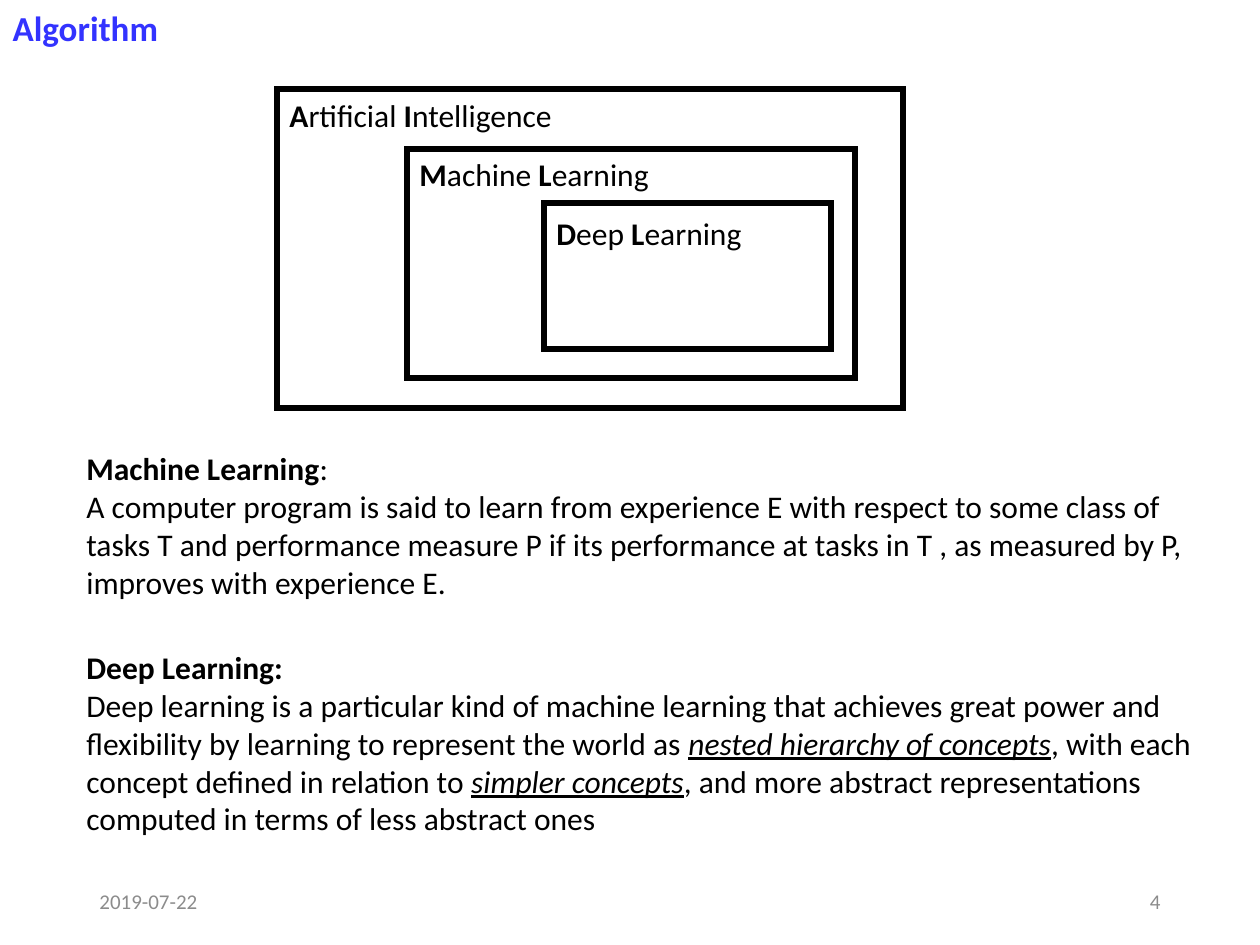
import pptx
import pptx.dml.color
import pptx.enum.shapes
import pptx.enum.text
import pptx.oxml.ns
import pptx.util
import lxml.etree

PX = 914400 / 126
FONT = "Calibri"
COLORS = {"title": "3333FF", "text": "000000", "footer": "8C8C8C", "line": "000000"}
ALIGN = pptx.enum.text.PP_ALIGN
ANCHOR = pptx.enum.text.MSO_ANCHOR


def px(*lengths):
    return [pptx.util.Emu(round(n * PX)) for n in lengths]


def rgb(name):
    return pptx.dml.color.RGBColor.from_string(COLORS[name])


def format_run(r, size, color, style=""):
    r.font.name = FONT
    r.font.size = pptx.util.Pt(size)
    r.font.color.rgb = rgb(color)
    r.font.bold = "b" in style
    r.font.italic = "i" in style
    r.font.underline = "u" in style


def add_text(s, box, paragraphs, size=18, color="text", align=ALIGN.LEFT, anchor=ANCHOR.TOP):
    tf = s.shapes.add_textbox(*px(*box)).text_frame
    tf.word_wrap = True
    tf.vertical_anchor = anchor
    for i, runs in enumerate(paragraphs):
        p = tf.paragraphs[0] if i == 0 else tf.add_paragraph()
        p.alignment = align
        for text, style in runs:
            r = p.add_run()
            r.text = text
            format_run(r, size, color, style)


def add_title(s, box, text):
    sp = s.shapes.title
    sp.left, sp.top, sp.width, sp.height = px(*box)
    tf = sp.text_frame
    tf.text = text
    tf.word_wrap = False
    tf.auto_size = pptx.enum.text.MSO_AUTO_SIZE.NONE
    tf.vertical_anchor = ANCHOR.TOP
    p = tf.paragraphs[0]
    p.alignment = ALIGN.LEFT
    format_run(p.runs[0], 20, "title", "b")


def add_frame(s, box):
    sp = s.shapes.add_shape(pptx.enum.shapes.MSO_SHAPE.RECTANGLE, *px(*box))
    sp.shadow.inherit = False
    sp.fill.background()
    sp.line.color.rgb = rgb("line")
    sp.line.width = pptx.util.Pt(3)
    ln = sp.element.spPr.find(pptx.oxml.ns.qn("a:ln"))
    lxml.etree.SubElement(ln, pptx.oxml.ns.qn("a:miter"), lim="800000")


def add_nested_fields(s, box):
    left, top, width, height = box
    fields = [
        ((0, 0, width, height), 1, 320, [("A", "b"), ("rtificial ", ""), ("I", "b"), ("ntelligence", "")]),
        ((130, 60, 448, 229), 60, 257, [("M", "b"), ("achine ", ""), ("L", "b"), ("earning", "")]),
        ((267, 114, 287, 146), 119, 257, [("D", "b"), ("eep ", ""), ("L", "b"), ("earning", "")]),
    ]
    for (x, y, w, h), label_y, label_w, label in fields:
        add_frame(s, (left + x, top + y, w, h))
        add_text(s, (left + x, top + label_y, label_w, 50), [label])


def add_footer(s, box, date, number):
    left, top, width, height = box
    w = 284
    for x, text, align in ((left, date, ALIGN.LEFT), (left + width - w, number, ALIGN.RIGHT)):
        add_text(s, (x, top, w, height), [[(text, "")]], 12, "footer", align, ANCHOR.MIDDLE)


def main():
    prs = pptx.Presentation()
    prs.slide_width, prs.slide_height = px(1260, 945)
    s = prs.slides.add_slide(prs.slide_layouts[5])
    add_title(s, (0, 0, 173, 55), "Algorithm")
    add_nested_fields(s, (277, 89, 626, 319))
    add_text(s, (74, 443, 1131, 165), [
        [("Machine Learning", "b"), (":", "")],
        [("A computer program is said to learn from experience E with respect to some class of "
          "tasks T and performance measure P if its performance at tasks in T , as measured by P, "
          "improves with experience E.", "")],
    ])
    add_text(s, (74, 642, 1131, 204), [
        [("Deep Learning:", "b")],
        [("Deep learning is a particular kind of machine learning that achieves great power and "
          "flexibility by learning to represent the world as ", ""),
         ("nested hierarchy of concepts", "iu"),
         (", with each concept defined in relation to ", ""),
         ("simpler concepts", "iu"),
         (", and more abstract representations computed in terms of less abstract ones", "")],
    ])
    add_footer(s, (87, 876, 1086, 50), "2019-07-22", "4")
    prs.save("out.pptx")


if __name__ == "__main__":
    main()
